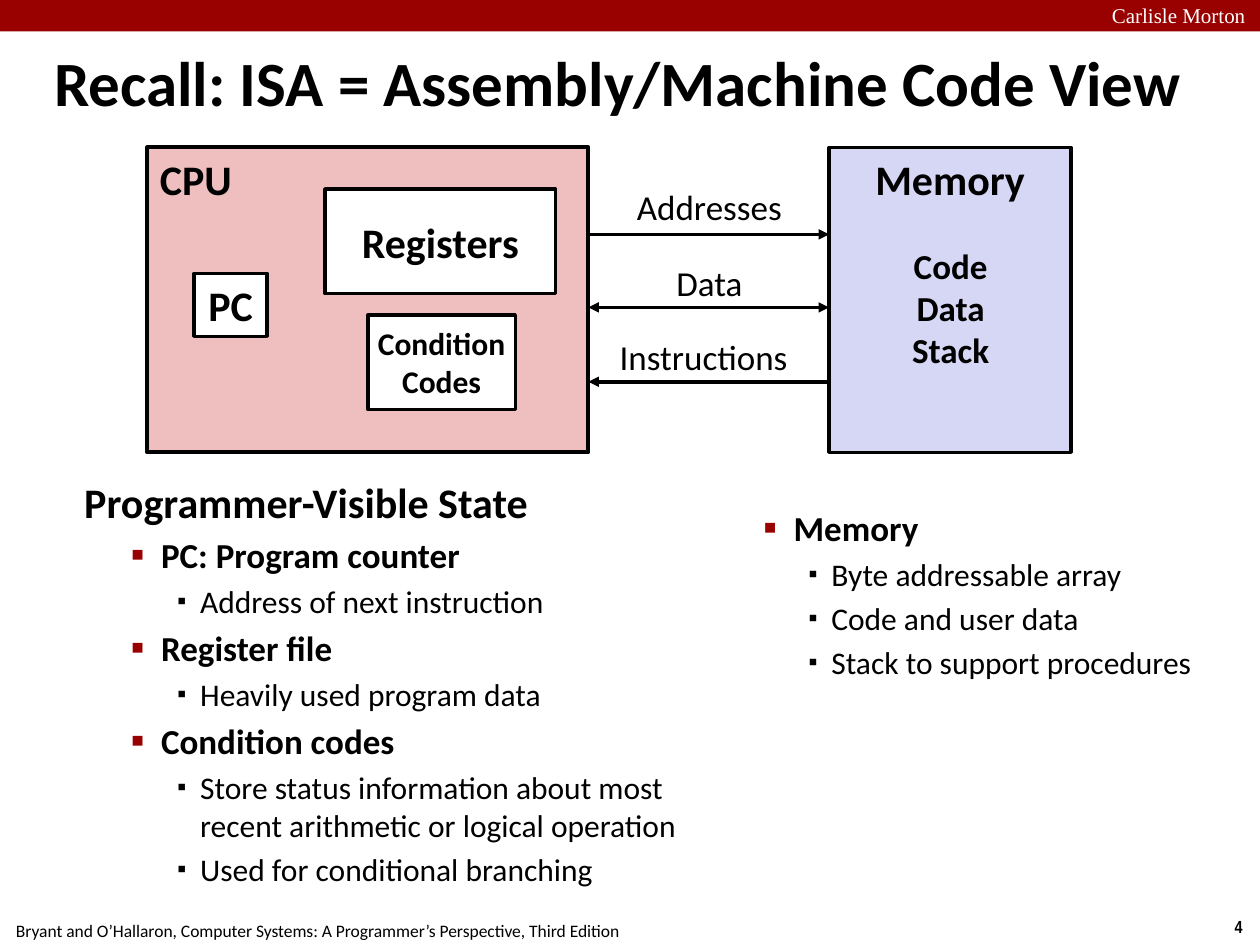
"""Build a slide on the machine code view of a computer."""
from dataclasses import dataclass

from lxml.etree import SubElement
from pptx import Presentation
from pptx.dml.color import RGBColor
from pptx.enum.shapes import MSO_CONNECTOR, MSO_SHAPE
from pptx.enum.text import MSO_ANCHOR, PP_ALIGN
from pptx.oxml.ns import qn
from pptx.util import Inches, Pt

BLACK = RGBColor(0x00, 0x00, 0x00)
WHITE = RGBColor(0xFF, 0xFF, 0xFF)
RED = RGBColor(0x99, 0x00, 0x00)
PINK = RGBColor(0xEF, 0xBF, 0xBF)
LILAC = RGBColor(0xD6, 0xD6, 0xF5)
LEFT, MID = PP_ALIGN.LEFT, PP_ALIGN.CENTER
TOP, HALF = MSO_ANCHOR.TOP, MSO_ANCHOR.MIDDLE


@dataclass
class Box:
    text: str
    at: tuple
    fill: RGBColor = WHITE
    size: int = 24
    align: PP_ALIGN = MID
    anchor: MSO_ANCHOR = HALF
    width: float = 2


@dataclass
class Arrow:
    text: str
    y: float
    top: float
    ends: tuple
    span: float = 1.92


@dataclass
class Item:
    level: int
    text: str


@dataclass
class Style:
    size: int
    bold: bool
    hang: float
    color: RGBColor = BLACK
    scale: int = 100


STYLES = [
    Style(24, True, 0.25),
    Style(20, True, 0.24, RED, 110),
    Style(18, False, 0.18, BLACK, 80),
]

BOXES = [
    Box("CPU", (1.17, 1.17, 3.5, 2.42), PINK, align=LEFT, anchor=TOP, width=2.25),
    Box("PC", (1.54, 2.17, 0.58, 0.5)),
    Box("Registers", (2.58, 1.5, 1.83, 0.83)),
    Box("Condition\nCodes", (2.92, 2.5, 1.17, 0.75), size=18),
    Box("Memory", (6.58, 1.17, 1.92, 2.42), LILAC, anchor=TOP),
]

ARROWS = [
    Arrow("Addresses", 1.86, 1.42, ("tailEnd",)),
    Arrow("Data", 2.44, 2.03, ("headEnd", "tailEnd")),
    Arrow("Instructions", 3.03, 2.61, ("headEnd",), 1.83),
]

STATE = [
    Item(0, "Programmer-Visible State"),
    Item(1, "PC: Program counter"),
    Item(2, "Address of next instruction"),
    Item(1, "Register file"),
    Item(2, "Heavily used program data"),
    Item(1, "Condition codes"),
    Item(2, "Store status information about most recent arithmetic or logical operation"),
    Item(2, "Used for conditional branching"),
]

STORE = [
    Item(1, "Memory"),
    Item(2, "Byte addressable array"),
    Item(2, "Code and user data"),
    Item(2, "Stack to support procedures"),
]


def write(frame, text: str, *, size=20, bold=False, color=BLACK, font="Calibri",
          align=MID, anchor=TOP, wrap=True) -> None:
    """Fill a text frame, one paragraph a line."""
    frame.word_wrap = wrap
    frame.vertical_anchor = anchor
    frame.text = text
    for para in frame.paragraphs:
        para.alignment = align
        face = para.font
        face.size, face.bold, face.name = Pt(size), bold, font
        face.color.rgb = color


def label(slide, text: str, at: tuple, **form) -> None:
    """Add a text box."""
    area = slide.shapes.add_textbox(*map(Inches, at))
    write(area.text_frame, text, **form)


def block(slide, at: tuple, fill: RGBColor):
    """Add a plain filled rectangle."""
    shape = slide.shapes.add_shape(MSO_SHAPE.RECTANGLE, *map(Inches, at))
    shape.shadow.inherit = False
    shape.fill.solid()
    shape.fill.fore_color.rgb = fill
    shape.line.fill.background()
    return shape


def draw_box(slide, box: Box) -> None:
    """Draw an outlined box with its name."""
    shape = block(slide, box.at, box.fill)
    shape.line.color.rgb = BLACK
    shape.line.width = Pt(box.width)
    write(shape.text_frame, box.text, size=box.size, bold=True,
          align=box.align, anchor=box.anchor, wrap=box.align == LEFT)


def draw_arrow(slide, arrow: Arrow) -> None:
    """Draw a link between CPU and memory with its label."""
    y = Inches(arrow.y)
    link = slide.shapes.add_connector(
        MSO_CONNECTOR.STRAIGHT, Inches(4.67), y, Inches(6.58), y)
    link.line.color.rgb = BLACK
    link.line.width = Pt(2)
    for end in arrow.ends:
        SubElement(link.line._get_or_add_ln(), qn(f"a:{end}"), type="triangle")
    SubElement(link._element.spPr, qn("a:effectLst"))
    label(slide, arrow.text, (4.67, arrow.top, arrow.span, 0.43))


def draw_list(slide, at: tuple, items: list[Item], steps: tuple) -> None:
    """Draw an outline whose levels are indented by steps."""
    frame = slide.shapes.add_textbox(*map(Inches, at)).text_frame
    write(frame, "\n".join(item.text for item in items), align=LEFT)
    for para, item in zip(frame.paragraphs, items):
        style = STYLES[item.level]
        para.level = item.level
        para.font.size, para.font.bold = Pt(style.size), style.bold
        para.space_before = Pt(style.size * 0.2)
        props = para._p.get_or_add_pPr()
        props.set("marL", str(Inches(steps[item.level])))
        props.set("indent", str(-Inches(style.hang)))
        if item.level:
            tint = SubElement(props, qn("a:buClr"))
            SubElement(tint, qn("a:srgbClr"), val=str(style.color))
            SubElement(props, qn("a:buSzPct"), val=str(style.scale * 1000))
            SubElement(props, qn("a:buFont"), typeface="Calibri")
            SubElement(props, qn("a:buChar"), char="▪")


def main() -> None:
    """Build and save the slide."""
    deck = Presentation()
    deck.slide_width, deck.slide_height = Inches(10), Inches(7.5)
    slide = deck.slides.add_slide(deck.slide_layouts[5])

    block(slide, (0, 0, 10, 0.25), RED)
    label(slide, "Carlisle Morton", (8.64, -0.03, 1.43, 0.3), size=12,
          color=WHITE, font="Times New Roman")
    label(slide, "4", (9.66, 7.22, 0.34, 0.27), size=10, bold=True,
          font="Arial Narrow", wrap=False)
    label(slide, "Bryant and O’Hallaron, Computer Systems: "
          "A Programmer’s Perspective, Third Edition",
          (-0.02, 7.25, 5.08, 0.27), size=10, wrap=False)

    title = slide.shapes.title
    title.left, title.top, title.width, title.height = map(
        Inches, (0.33, 0.33, 9.23, 0.63))
    write(title.text_frame, "Recall: ISA = Assembly/Machine Code View",
          size=36, bold=True, align=LEFT, anchor=HALF)

    for box in BOXES:
        draw_box(slide, box)
    label(slide, "Code\nData\nStack", (6.92, 1.89, 1.25, 1.11), bold=True)
    for arrow in ARROWS:
        draw_arrow(slide, arrow)
    draw_list(slide, (0.57, 3.73, 5.31, 3.48), STATE, (0.25, 0.61, 0.92))
    draw_list(slide, (5.88, 3.97, 3.96, 1.72), STORE, (0, 0.32, 0.62))
    deck.save("out.pptx")


if __name__ == "__main__":
    main()
